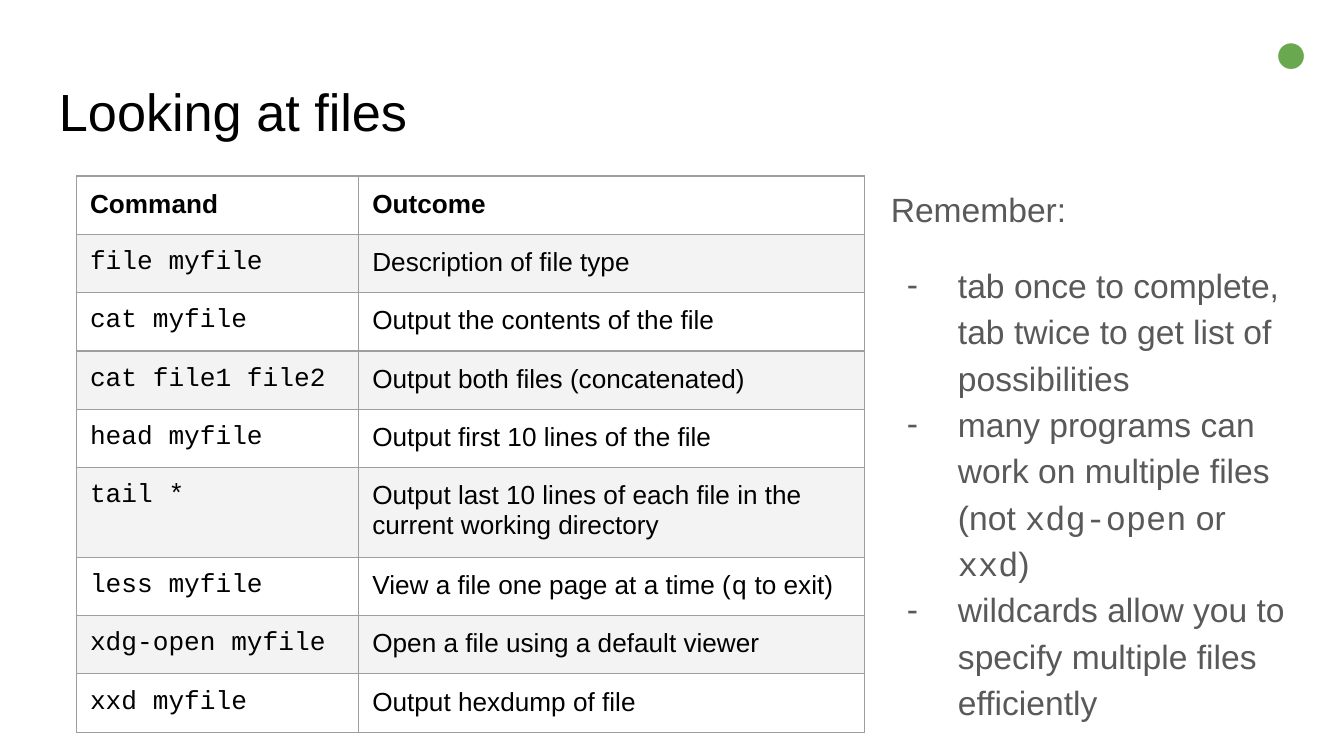
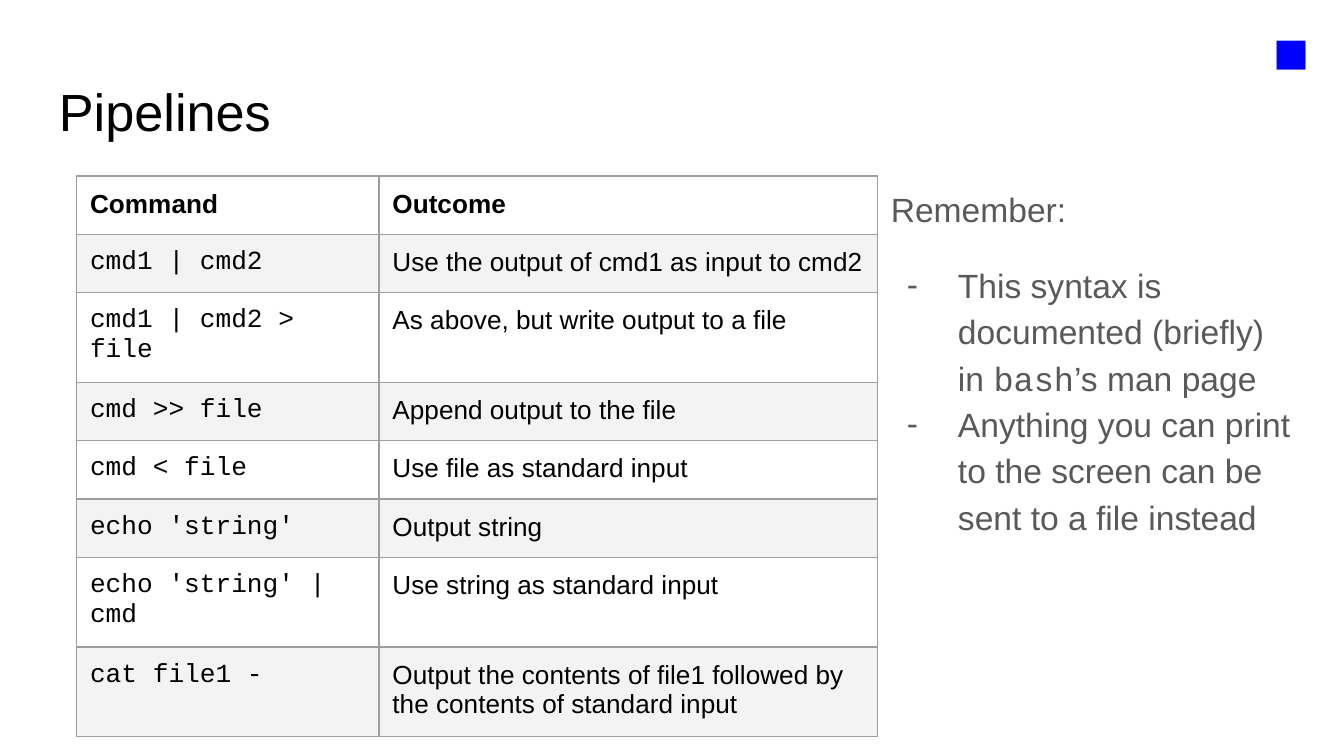
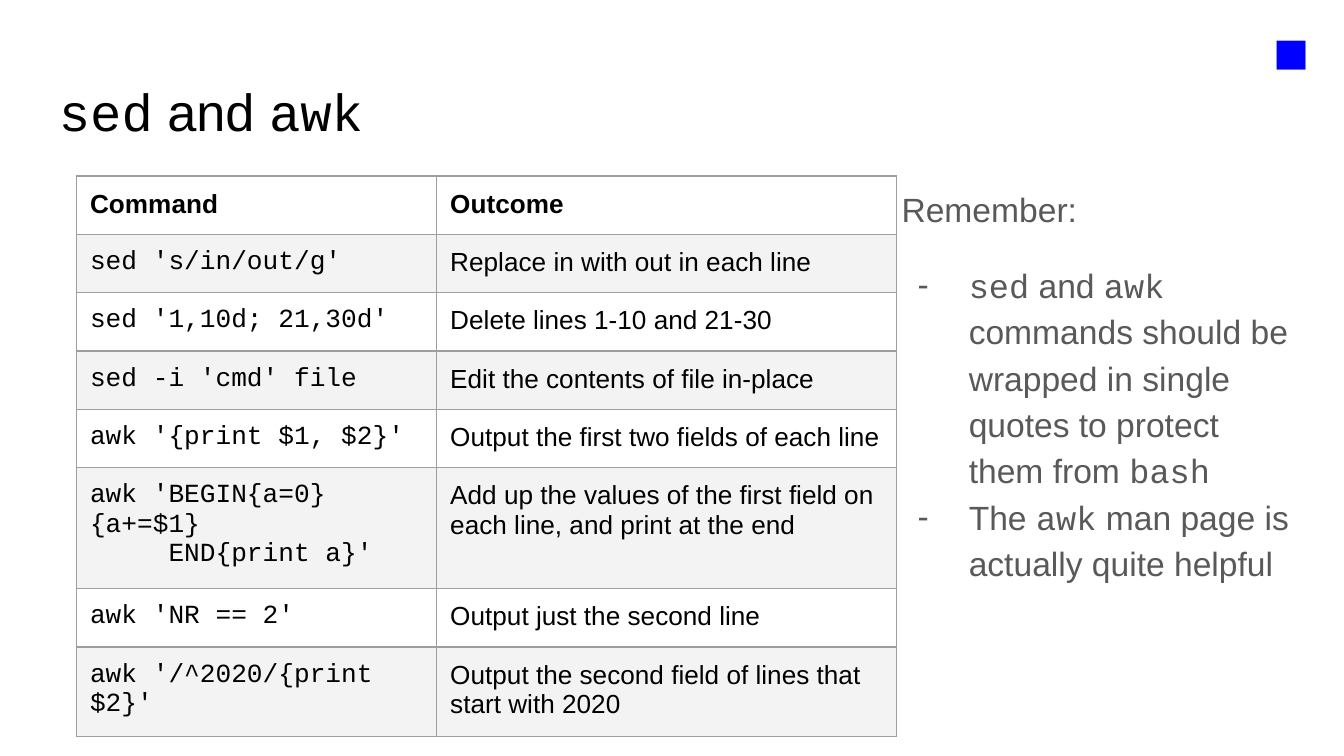
from lxml import etree
from pptx import Presentation
from pptx.dml.color import RGBColor
from pptx.enum.text import MSO_ANCHOR, MSO_AUTO_SIZE, PP_ALIGN
from pptx.oxml.ns import qn
from pptx.util import Inches, Pt

BLACK = RGBColor(0x00, 0x00, 0x00)
BODY_GREY = RGBColor(0x59, 0x59, 0x59)
BORDER_GREY = RGBColor(0x9E, 0x9E, 0x9E)
BAND_GREY = RGBColor(0xF3, 0xF3, 0xF3)
WHITE = RGBColor(0xFF, 0xFF, 0xFF)
GREEN = RGBColor(0x6A, 0xA8, 0x4F)
BLUE = RGBColor(0x00, 0x00, 0xFF)

TEXT_FONT = "Arial"
CODE_FONT = "Courier New"
INSET = Inches(0.1)
PLAIN_TABLE_STYLE = "{2D5ABB26-0587-4C30-8999-92F81FD0307C}"

# Boxes as left, top, width, height in inches
TITLE_BOX = (0.34, 0.49, 9.32, 0.63)
MARKER_BOX = (9.22, 0, 0.78, 0.74)
TABLE_LEFT, TABLE_TOP, ROW_HEIGHT = 0.57, 1.31, 0.42
NOTES_TOP, NOTES_RIGHT, NOTES_HEIGHT = 1.26, 9.76, 3.74

# Backticks mark code inside running text; commands are code throughout.
SLIDES = [
    {
        "title": "Looking at files",
        "marker": ("●", GREEN),
        "columns": (2.1, 3.76),
        "rows": [
            ("file myfile", "Description of file type"),
            ("cat myfile", "Output the contents of the file"),
            ("cat file1 file2", "Output both files (concatenated)"),
            ("head myfile", "Output first 10 lines of the file"),
            ("tail *", "Output last 10 lines of each file in the current working directory"),
            ("less myfile", "View a file one page at a time (`q` to exit)"),
            ("xdg-open myfile", "Open a file using a default viewer"),
            ("xxd myfile", "Output hexdump of file"),
        ],
        "notes_left": 6.53,
        "notes": [
            "tab once to complete, tab twice to get list of possibilities",
            "many programs can work on multiple files (not `xdg-open` or `xxd`)",
            "wildcards allow you to specify multiple files efficiently",
        ],
    },
    {
        "title": "Pipelines",
        "marker": ("■", BLUE),
        "columns": (2.25, 3.71),
        "rows": [
            ("cmd1 | cmd2", "Use the output of cmd1 as input to cmd2"),
            ("cmd1 | cmd2 > file", "As above, but write output to a file"),
            ("cmd >> file", "Append output to the file"),
            ("cmd < file", "Use file as standard input"),
            ("echo 'string'", "Output string"),
            ("echo 'string' | cmd", "Use string as standard input"),
            ("cat file1 -",
             "Output the contents of file1 followed by the contents of standard input"),
        ],
        "notes_left": 6.53,
        "notes": [
            "This syntax is documented (briefly) in `bash`’s man page",
            "Anything you can print to the screen can be sent to a file instead",
        ],
    },
    {
        "title": "`sed` and `awk`",
        "marker": ("■", BLUE),
        "columns": (2.68, 3.42),
        "rows": [
            ("sed 's/in/out/g'", "Replace in with out in each line"),
            ("sed '1,10d; 21,30d'", "Delete lines 1-10 and 21-30"),
            ("sed -i 'cmd' file", "Edit the contents of file in-place"),
            ("awk '{print $1, $2}'", "Output the first two fields of each line"),
            ("awk 'BEGIN{a=0} {a+=$1}\n     END{print a}'",
             "Add up the values of the first field on each line, and print at the end"),
            ("awk 'NR == 2'", "Output just the second line"),
            ("awk '/^2020/{print $2}'",
             "Output the second field of lines that start with 2020"),
        ],
        "notes_left": 6.61,
        "notes": [
            "`sed` and `awk` commands should be wrapped in single quotes "
            "to protect them from `bash`",
            "The `awk` man page is actually quite helpful",
        ],
    },
]


def set_font(font, name, size, color, bold):
    """Format a font, using one typeface for every script."""
    font.size = Pt(size)
    font.bold = bold
    font.color.rgb = color
    font.name = name
    for script in ("a:ea", "a:cs"):
        etree.SubElement(font._rPr, qn(script), typeface=name)


def write(paragraph, text, size, color, bold=False):
    """Fill a paragraph, switching to the code font between backticks."""
    for index, part in enumerate(text.split("`")):
        if not part:
            continue
        name = CODE_FONT if index % 2 else TEXT_FONT
        for line_number, line in enumerate(part.split("\n")):
            if line_number:
                paragraph.add_line_break()
                line_break = paragraph._p.findall(qn("a:br"))[-1]
                etree.SubElement(line_break, qn("a:rPr"), sz=str(size * 100))
                etree.SubElement(line_break[0], qn("a:latin"), typeface=name)
            run = paragraph.add_run()
            run.text = line
            set_font(run.font, name, size, color, bold)
    # The paragraph end takes the last font, so it does not raise the line.
    paragraph_end = etree.SubElement(paragraph._p, qn("a:endParaRPr"), sz=str(size * 100))
    for script in ("a:latin", "a:ea", "a:cs"):
        etree.SubElement(paragraph_end, qn(script), typeface=name)


def set_insets(target):
    target.margin_left = target.margin_right = INSET
    target.margin_top = target.margin_bottom = INSET


def add_text_frame(slide, box):
    text_frame = slide.shapes.add_textbox(*map(Inches, box)).text_frame
    text_frame.word_wrap = True
    text_frame.vertical_anchor = MSO_ANCHOR.TOP
    set_insets(text_frame)
    return text_frame


def add_title(slide, text):
    write(add_text_frame(slide, TITLE_BOX).paragraphs[0], text, 28, BLACK)


def add_marker(slide, symbol, color):
    text_frame = add_text_frame(slide, MARKER_BOX)
    text_frame.auto_size = MSO_AUTO_SIZE.SHAPE_TO_FIT_TEXT
    paragraph = text_frame.paragraphs[0]
    paragraph.alignment = PP_ALIGN.CENTER
    write(paragraph, symbol, 32, color)


def add_dash(paragraph):
    properties = paragraph._p.get_or_add_pPr()
    properties.set("marL", str(Inches(0.5)))
    properties.set("indent", str(Inches(-0.38)))
    bullet_color = etree.SubElement(properties, qn("a:buClr"))
    etree.SubElement(bullet_color, qn("a:srgbClr"), val=str(BODY_GREY))
    etree.SubElement(properties, qn("a:buFont"), typeface=TEXT_FONT)
    etree.SubElement(properties, qn("a:buChar"), char="-")


def add_notes(slide, left, notes):
    box = (left, NOTES_TOP, NOTES_RIGHT - left, NOTES_HEIGHT)
    text_frame = add_text_frame(slide, box)
    heading = text_frame.paragraphs[0]
    heading.line_spacing = 1.15
    write(heading, "Remember:", 18, BODY_GREY)
    for index, note in enumerate(notes):
        paragraph = text_frame.add_paragraph()
        paragraph.line_spacing = 1.15
        paragraph.space_before = Pt(0 if index else 16)
        add_dash(paragraph)
        write(paragraph, note, 18, BODY_GREY)


def add_borders(cell):
    properties = cell._tc.get_or_add_tcPr()
    for side in ("a:lnL", "a:lnR", "a:lnT", "a:lnB"):
        line = etree.SubElement(properties, qn(side), w=str(Pt(0.75)))
        fill = etree.SubElement(line, qn("a:solidFill"))
        etree.SubElement(fill, qn("a:srgbClr"), val=str(BORDER_GREY))


def add_command_table(slide, columns, commands):
    rows = [("Command", "Outcome")]
    rows += [(f"`{command}`", outcome) for command, outcome in commands]
    table = slide.shapes.add_table(
        len(rows), len(columns), Inches(TABLE_LEFT), Inches(TABLE_TOP),
        Inches(sum(columns)), Inches(ROW_HEIGHT * len(rows))).table
    table.first_row = table.horz_banding = False
    table._tbl.tblPr.find(qn("a:tableStyleId")).text = PLAIN_TABLE_STYLE
    for column, width in zip(table.columns, columns):
        column.width = Inches(width)
    for row_number, texts in enumerate(rows):
        table.rows[row_number].height = Inches(ROW_HEIGHT)
        for column_number, text in enumerate(texts):
            cell = table.cell(row_number, column_number)
            set_insets(cell)
            add_borders(cell)
            cell.fill.solid()
            cell.fill.fore_color.rgb = BAND_GREY if row_number % 2 else WHITE
            paragraph = cell.text_frame.paragraphs[0]
            paragraph.line_spacing = 1.0
            write(paragraph, text, 14, BLACK, bold=row_number == 0)


def add_command_slide(presentation, content):
    slide = presentation.slides.add_slide(presentation.slide_layouts[6])
    add_title(slide, content["title"])
    add_notes(slide, content["notes_left"], content["notes"])
    add_command_table(slide, content["columns"], content["rows"])
    add_marker(slide, *content["marker"])


def main():
    presentation = Presentation()
    presentation.slide_width = Inches(10)
    presentation.slide_height = Inches(10 * 9 / 16)
    for content in SLIDES:
        add_command_slide(presentation, content)
    presentation.save("out.pptx")


if __name__ == "__main__":
    main()
